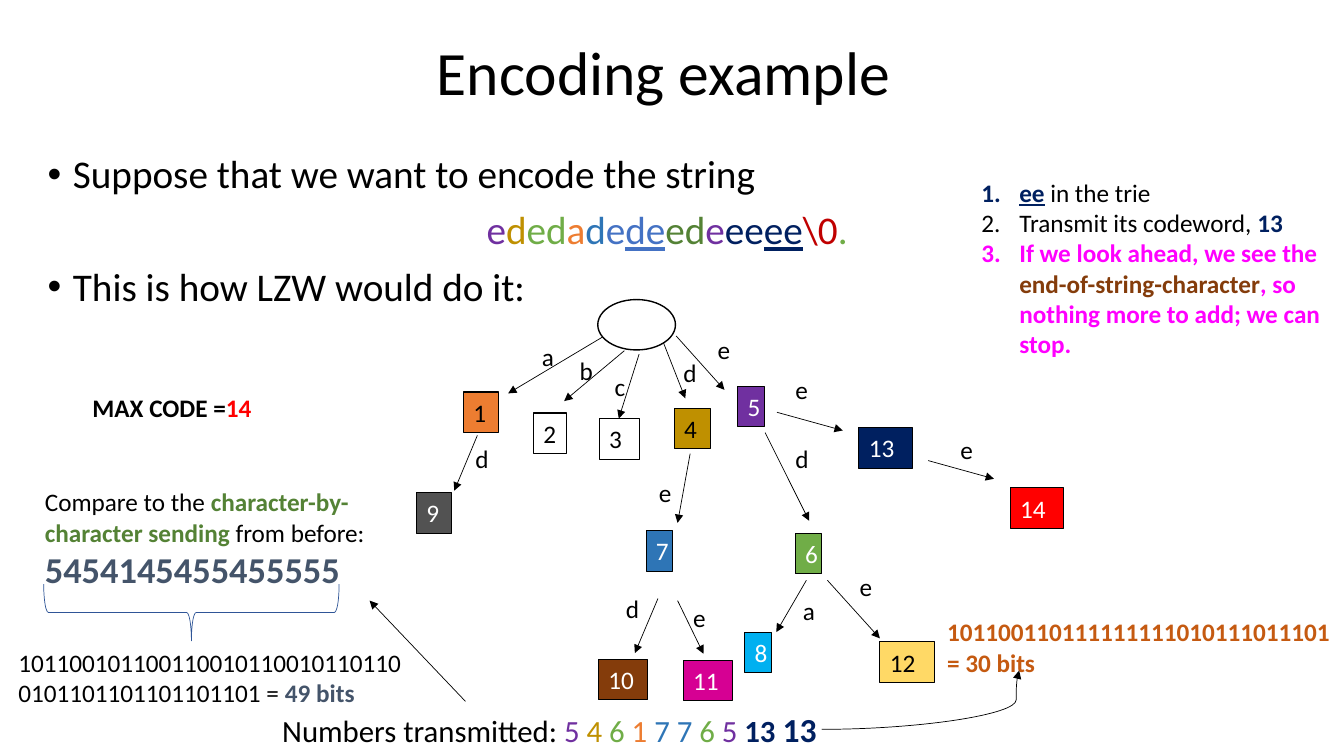
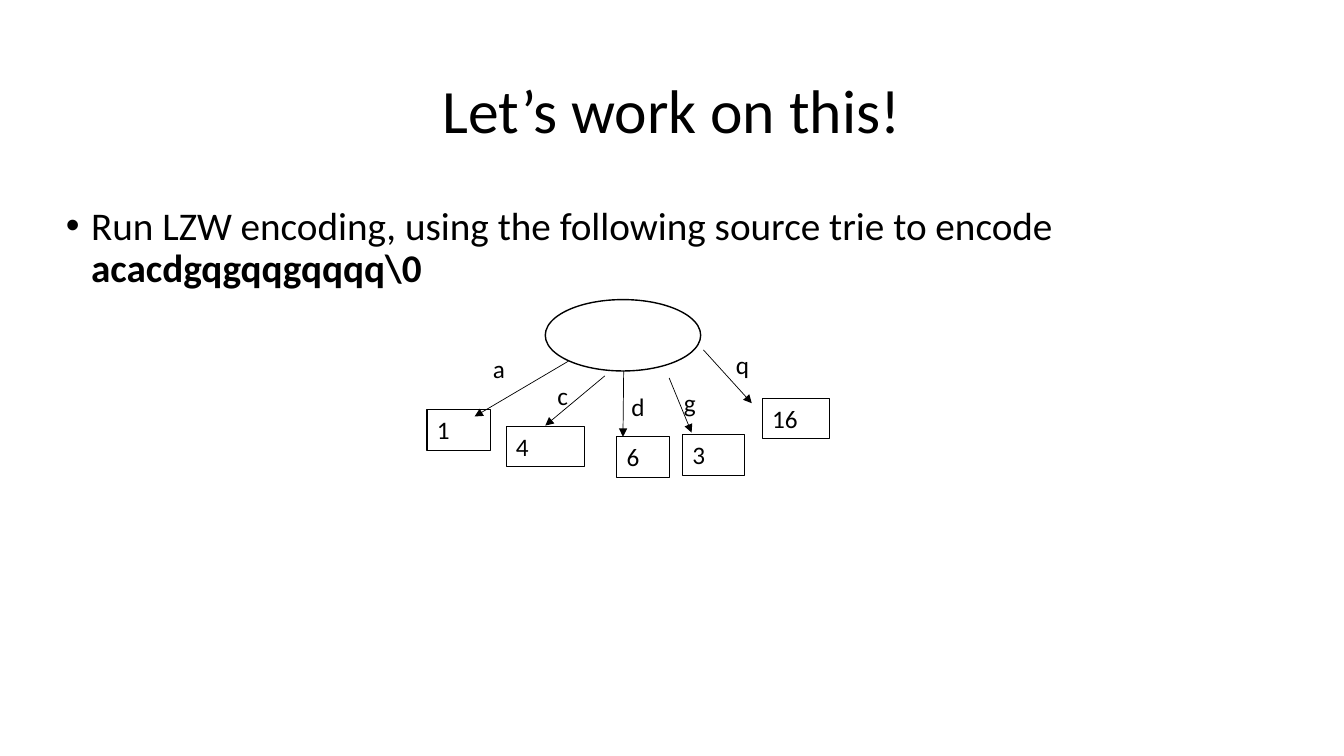
from collections import namedtuple

from lxml.etree import SubElement
from pptx import Presentation
from pptx.dml.color import RGBColor
from pptx.enum.shapes import MSO_CONNECTOR as Link, MSO_SHAPE as Kind
from pptx.enum.text import MSO_ANCHOR as Anchor, PP_ALIGN as Align
from pptx.oxml.ns import qn
from pptx.util import Pt

FONT = "Calibri"
BLACK, WHITE, NAVY, PINK = "000000", "FFFFFF", "002060", "FF00FF"
PURPLE, GOLD, GREEN, ORANGE = "7030A0", "BF9000", "70AD47", "ED7D31"
BLUE, SKY, MOSS, BROWN = "2E75B6", "4472C4", "548235", "843C0B"
RED, SLATE, RUST = "FF0000", "44546A", "C55A11"
HIGH = 29  # height of a node or one-line label

rgb = RGBColor.from_string
Run = namedtuple("Run", "text ink style size", defaults=(BLACK, "", None))


def write(shape, paras, size=18, lead=None, gap=0):
    """Fill a shape with paragraphs, each a mark ("", "c", "•" or "1.") and its runs."""
    frame = shape.text_frame
    frame.word_wrap = True
    frame.vertical_anchor = Anchor.TOP
    for i, (mark, *runs) in enumerate(paras):
        para = frame.add_paragraph() if i else frame.paragraphs[0]
        para.alignment = Align.CENTER if mark == "c" else Align.LEFT
        para.space_before = Pt(gap)
        if lead:
            para.line_spacing = lead
        props = para._p.get_or_add_pPr()
        if mark in ("•", "1."):
            indent = Pt(18 if mark == "•" else 27)
            props.set("marL", str(indent))
            props.set("indent", str(-indent))
        if mark == "•":
            SubElement(props, qn("a:buFont"), typeface="Arial")
            SubElement(props, qn("a:buChar"), char=mark)
        elif mark == "1.":
            SubElement(props, qn("a:buAutoNum"), type="arabicPeriod")
        for item in runs:
            run = para.add_run()
            run.text = item.text
            font = run.font
            font.name, font.size = FONT, Pt(item.size or size)
            font.bold, font.underline = "b" in item.style, "u" in item.style
            font.color.rgb = rgb(item.ink)


def arrow(slide, start, end, kind=Link.STRAIGHT):
    line = slide.shapes.add_connector(kind, *map(Pt, start + end))
    line.line.width = Pt(0.5)
    line.line.color.rgb = rgb(BLACK)
    props = line.element.spPr
    SubElement(props.find(qn("a:ln")), qn("a:tailEnd"), type="triangle")
    SubElement(props, qn("a:effectLst"))
    return line


pages = [
    {
        "title": ("Encoding example", (60, 2, 828, 104)),
        "box": (27, 107, 899, 379),
        "body": [
            ("•", Run("Suppose that we want to encode the string")),
            ("c", Run("e", PURPLE), Run("d", GOLD), Run("ed", GREEN),
             Run("a", ORANGE), Run("d", BLUE), Run("e", SKY),
             Run("de", SKY, "u"), Run("ed", MOSS), Run("e", PURPLE),
             Run("ee", NAVY), Run("ee", NAVY, "u"), Run("\\0", "C00000"),
             Run(".", GREEN)),
            ("•", Run("This is how LZW would do it:")),
        ],
        "root": (427, 214, 55.5, 36),
        # start, end, letter, place of the letter
        "edges": [
            ((430, 241), (363, 281), "a", (380, 240)),
            ((446, 250.5), (403, 286.5), "b", (407, 250.5)),
            ((456.5, 253), (442, 299), "c", (432, 261.5)),
            ((474, 245), (489.5, 284.5), "d", (481, 252)),
            ((483, 240), (517.5, 278.5), "e", (505.5, 235.5)),
            ((546.5, 309), (578, 372), "d", (561, 313)),
            ((493, 324), (484, 373.5), "e", (463.5, 337.5)),
            ((576, 414.5), (554.5, 451.5), "a", (566.5, 422)),
            ((341, 311), (324.5, 350.5), "d", (332.5, 313)),
            ((470, 427.5), (453.5, 466.5), "d", (440, 420.5)),
            ((484, 429), (502.5, 467), "e", (488, 427)),
            ((591, 414.5), (628.5, 456), "e", (607, 404.5)),
            ((555, 294.5), (602, 307.5), "e", (561, 264)),
            ((663, 329), (710, 342), "e", (679, 306.5)),
        ],
        # code, left, top, width, fill, ink
        "nodes": [
            ("1", 331, 280, 25, ORANGE, BLACK),
            ("2", 381, 295, 24, None, BLACK),
            ("3", 428, 299, 29, None, BLACK),
            ("4", 481.5, 291.5, 26, GOLD, BLACK),
            ("5", 527, 276, 19, PURPLE, WHITE),
            ("6", 568, 381, 19, GREEN, WHITE),
            ("7", 461.5, 379, 19, BLUE, WHITE),
            ("8", 532, 451.5, 19, "00B0F0", WHITE),
            ("9", 297.5, 352, 25, "525252", WHITE),
            ("10", 427.5, 471, 35, BROWN, WHITE),
            ("11", 488, 471.5, 35, "D60093", WHITE),
            ("12", 628.5, 458.5, 39, "FFD966", BLACK),
            ("13", 613.5, 305.5, 38, NAVY, WHITE),
            ("14", 721.5, 348.5, 38, RED, WHITE),
        ],
        "notes": [
            ((194.5, 502.5, 732, 36), 22, [
                ("", Run("Numbers transmitted: "), Run("5 ", PURPLE),
                 Run("4 ", GOLD), Run("6 ", GREEN), Run("1 ", ORANGE),
                 Run("7 7 ", BLUE), Run("6 ", GREEN), Run("5 ", PURPLE),
                 Run("13 ", NAVY, "b"), Run("13", NAVY, "b", 24))]),
            ((59, 276.5, 138, HIGH), 18, [
                ("", Run("MAX CODE =", BLACK, "b"), Run("14", RED, "b"))]),
            ((694, 123, 274, 160), 18, [
                ("1.", Run("ee", NAVY, "bu"), Run(" in the trie")),
                ("1.", Run("Transmit its codeword, "), Run("13", NAVY, "b")),
                ("1.", Run("If we look ahead, we see the ", PINK, "b"),
                 Run("end-of-string-character", BROWN, "b"),
                 Run(", so nothing more to add; we can stop.", PINK, "b"))]),
            ((25, 344, 249, 82), 18, [
                ("", Run("Compare to the "),
                 Run("character-by-character sending ", MOSS, "b"),
                 Run("from before:")),
                ("", Run("5454145455455555", SLATE, "b", 26))]),
            ((6, 458.5, 290, 51), 18, [
                ("", Run("1011001011001100101100101101100101101101101101101 = "),
                 Run("49 bits", SLATE, "b"))]),
            ((669.5, 437, 290, 51), 18, [
                ("", Run("101100110111111111010111011101", RUST, "b")),
                ("", Run("= 30 bits", RUST, "b"))]),
        ],
    },
    {
        "title": ("Let’s work on this!", (66, 29, 828, 104)),
        "box": (40, 144, 854, 343),
        "body": [
            ("•", Run("Run LZW encoding, using the following source trie to encode "),
             Run("acacdgqgqqgqqqq\\0", BLACK, "b")),
        ],
        "root": (389.5, 214, 111, 51),
        "edges": [
            ((406, 258), (339, 297.5), "a", (345, 249)),
            ((432, 268.5), (389.5, 304), "c", (391, 268)),
            ((445.5, 265), (445, 312), "d", (444, 276)),
            ((478, 270), (494, 309), "g", (481.5, 273)),
            ((502.5, 250), (537, 288), "q", (518.5, 246)),
        ],
        "nodes": [
            ("1", 305, 292.5, 45.5, None, BLACK),
            ("4", 361.5, 304.5, 56, None, BLACK),
            ("6", 440.5, 312, 38, None, BLACK),
            ("3", 487.5, 310.5, 44.5, None, BLACK),
            ("16", 544.5, 284.5, 48, None, BLACK),
        ],
        "notes": [],
    },
]

deck = Presentation()
deck.slide_width, deck.slide_height = Pt(960), Pt(540)
slides = []

for page in pages:
    slide = deck.slides.add_slide(deck.slide_layouts[6])
    slides.append(slide)
    shapes = slide.shapes

    text, place = page["title"]
    title = shapes.add_textbox(*map(Pt, place))
    write(title, [("c", Run(text))], 44, 0.9)
    title.text_frame.vertical_anchor = Anchor.MIDDLE
    body = shapes.add_textbox(*map(Pt, page["box"]))
    write(body, page["body"], 28, 0.9, 10)

    root = shapes.add_shape(Kind.OVAL, *map(Pt, page["root"]))
    root.shadow.inherit = False
    root.fill.background()
    root.line.color.rgb = rgb(BLACK)
    root.line.width = Pt(1)

    for start, end, letter, spot in page["edges"]:
        arrow(slide, start, end)
        label = shapes.add_textbox(*map(Pt, spot + (28, HIGH)))
        write(label, [("", Run(letter))])

    for code, left, top, width, fill, ink in page["nodes"]:
        node = shapes.add_shape(Kind.RECTANGLE, *map(Pt, (left, top, width, HIGH)))
        node.shadow.inherit = False
        if fill:
            node.fill.solid()
            node.fill.fore_color.rgb = rgb(fill)
        else:
            node.fill.background()
        node.line.color.rgb = rgb(BLACK)
        node.line.width = Pt(0.75)
        write(node, [("", Run(code, ink))])

    for place, size, paras in page["notes"]:
        write(shapes.add_textbox(*map(Pt, place)), paras, size)

# Brace and arrows that tie the sent codes to their bit counts
first = slides[0]
brace = first.shapes.add_shape(Kind.LEFT_BRACE, Pt(116.5), Pt(332), Pt(40.5), Pt(211))
brace.rotation = 270
brace.shadow.inherit = False
brace.fill.background()
brace.line.color.rgb = rgb("2F5597")
brace.line.width = Pt(0.5)

arrow(first, (332.5, 501), (264, 429))
curve = arrow(first, (587, 521), (728, 479), Link.CURVE)
bends = curve.element.spPr.find(qn("a:prstGeom")).find(qn("a:avLst"))
SubElement(bends, qn("a:gd"), name="adj1", fmla="val 98500")

deck.save("out.pptx")
